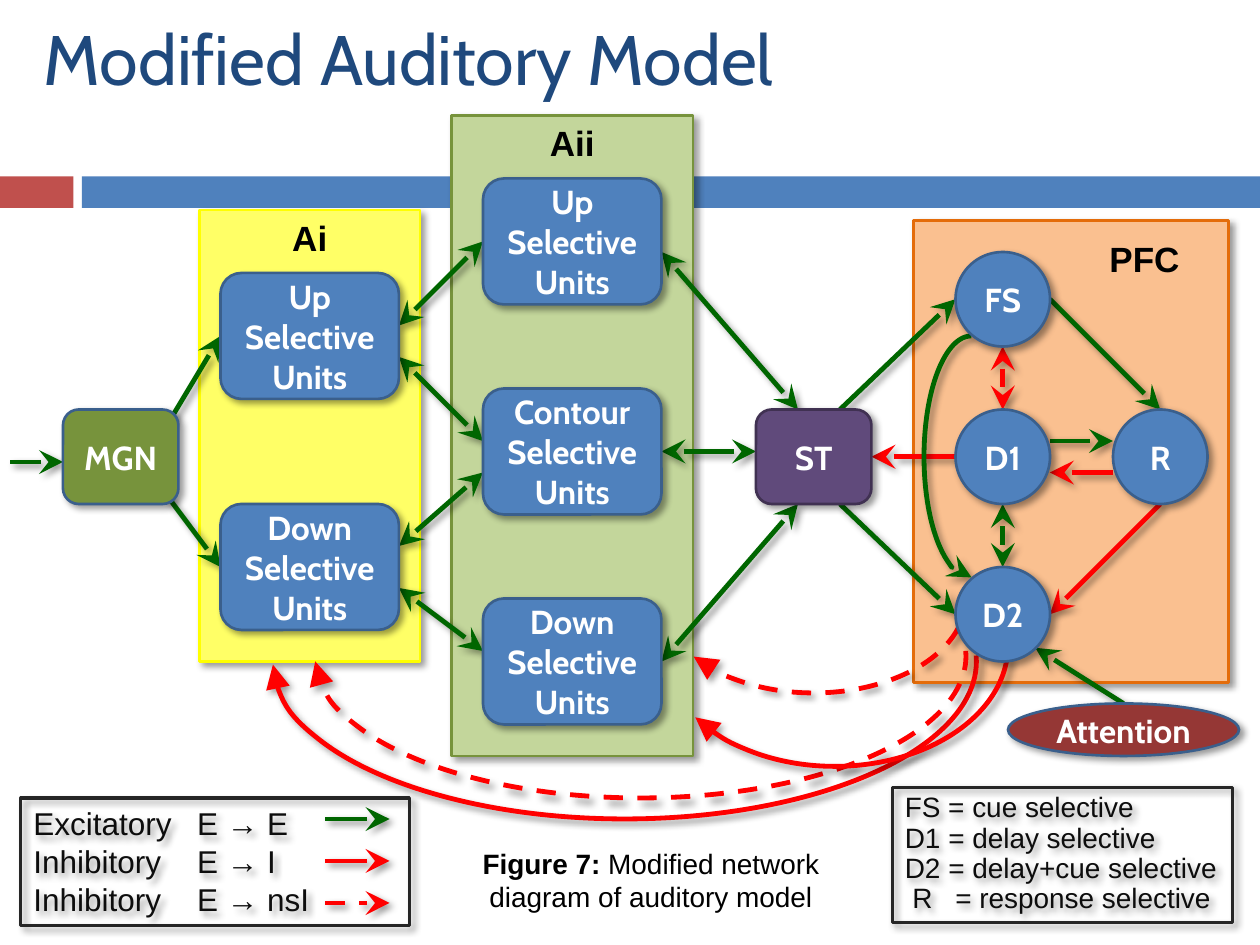
import collections
import pptx
import pptx.util
import pptx.dml.color
import pptx.enum.dml
import pptx.enum.shapes
import pptx.enum.text
import pptx.oxml
import pptx.oxml.ns

COLS, ROWS = 120, 90
CELL = pptx.util.Inches(10) / COLS
COLORS = {
    "title": "1F497D", "accent": "C0504D", "blue": "4F81BD", "edge": "3A5F8C",
    "yellow": "FFFF66", "yellow_edge": "FFFF00", "green": "C3D69B",
    "olive": "77933C", "orange": "FAC090", "orange_edge": "E46C0A",
    "purple": "604A7B", "purple_edge": "403152", "maroon": "953735",
    "excite": "006600", "inhibit": "FF0000", "black": "000000",
    "frame": "262626", "ink": "0D0D0D", "white": "FFFFFF",
}
SHAPE = pptx.enum.shapes.MSO_SHAPE
ALIGN = pptx.enum.text.PP_ALIGN
ANCHOR = pptx.enum.text.MSO_ANCHOR
Box = collections.namedtuple("Box", "x y w h")

AREAS = [
    ("PFC", Box(87, 21, 30, 44), Box(15, 1, 14, 5.25), "orange", "orange_edge"),
    ("Aii", Box(43, 11, 23, 61), Box(1, 0, 21, 5.25), "green", "olive"),
    ("Ai", Box(19, 20, 21, 43), Box(0, 0, 21, 5.25), "yellow", "yellow_edge"),
]
UNITS = {
    "Ai": [("Up", 2, 6), ("Down", 2, 28)],
    "Aii": [("Up", 3, 6), ("Contour", 3, 26), ("Down", 3, 46)],
    "PFC": [("D1", 4, 18), ("FS", 4, 3), ("R", 19, 18), ("D2", 4, 33)],
}
ONE_WAY = [
    (80, 39, 91, 28.5), (15, 46, 21, 54), (80, 48, 91, 58.5),
    (100, 28.5, 110.5, 39), (15, 42, 21, 32), (100, 42, 106, 42),
    (107, 67, 98.6, 61.7), (1, 44, 6, 44),
]
TWO_WAY = [
    (38, 52, 46, 45), (38, 34, 46, 42), (38, 56, 46, 62), (38, 31, 46, 23),
    (63, 43, 72, 43), (63, 24, 76, 39), (63, 63, 76, 48), (95.5, 48, 95.5, 54),
]
INHIBITORY = [(106, 45, 100, 45), (91, 43.5, 83, 43.5), (110.5, 48, 100, 58.5)]
ARCS = [
    (Box(26, 48, 67, 30), 215.42, 107.69, False),
    (Box(63, 48, 29, 18), 6.9, 92.49, True),
    (Box(30, 49, 62, 27), 215.44, 107.46, True),
    (Box(63, 50, 33, 23), 2.3, 91.67, False),
]


def rgb(name):
    """Return the named colour."""
    return pptx.dml.color.RGBColor.from_string(COLORS[name])


def emu(*cells):
    """Turn grid cells into lengths."""
    return [pptx.util.Emu(round(c * CELL)) for c in cells]


def within(box, inner):
    """Move an inner box to the corner of its parent."""
    return Box(box.x + inner.x, box.y + inner.y, inner.w, inner.h)


def add_shadow(sp):
    """Give a shape or connector the soft diagonal shadow."""
    ns = pptx.oxml.ns.nsdecls("a")
    sp.element.spPr.append(pptx.oxml.parse_xml(
        f'<a:effectLst {ns}><a:outerShdw blurRad="50800" dist="38100" dir="2700000" '
        f'algn="tl" rotWithShape="0"><a:srgbClr val="{COLORS["black"]}">'
        f'<a:alpha val="40000"/></a:srgbClr></a:outerShdw></a:effectLst>'))


def set_line(sp, color, width=2.75, dashed=False, head=None, tail=None):
    """Style an outline or arrow and add the shadow."""
    sp.line.color.rgb = rgb(color)
    sp.line.width = pptx.util.Pt(width)
    if dashed:
        sp.line.dash_style = pptx.enum.dml.MSO_LINE.DASH
    ln = sp.element.spPr.find(pptx.oxml.ns.qn("a:ln"))
    for tag, kind in (("headEnd", head), ("tailEnd", tail)):
        if kind:
            ns = pptx.oxml.ns.nsdecls("a")
            ln.append(pptx.oxml.parse_xml(f'<a:{tag} {ns} type="{kind}" w="lg" len="lg"/>'))
    add_shadow(sp)


def format_text(tf, size, color, font="Arial", bold=False, align=None):
    """Format every run of a text frame."""
    tf.word_wrap = True
    for p in tf.paragraphs:
        p.alignment = align
        for r in p.runs:
            r.font.size = pptx.util.Pt(size)
            r.font.name = font
            r.font.bold = bold
            r.font.color.rgb = rgb(color)


def add_text(s, box, text, size, color, **style):
    """Add a text box."""
    sp = s.shapes.add_textbox(*emu(*box))
    sp.text_frame.text = text
    format_text(sp.text_frame, size, color, **style)
    return sp


def add_filled(s, kind, box, fill, edge=None):
    """Add a filled shape, outlined and shadowed when an edge is given."""
    sp = s.shapes.add_shape(kind, *emu(*box))
    sp.fill.solid()
    sp.fill.fore_color.rgb = rgb(fill)
    if edge:
        set_line(sp, edge, 1.5)
    else:
        sp.line.fill.background()
        sp.shadow.inherit = False
    return sp


def add_node(s, kind, box, text, fill="blue", edge="edge"):
    """Add a labelled network node."""
    sp = add_filled(s, kind, box, fill, edge)
    tf = sp.text_frame
    tf.text = text
    tf.vertical_anchor = ANCHOR.MIDDLE
    format_text(tf, 19, "white", "Cabin", True, ALIGN.CENTER)


def add_arrow(s, ends, color, head=None, dashed=False):
    """Add a straight arrow."""
    c = s.shapes.add_connector(pptx.enum.shapes.MSO_CONNECTOR.STRAIGHT, *emu(*ends))
    set_line(c, color, dashed=dashed, head=head, tail="stealth")


def add_arc(s, box, start, end, color, dashed=False, tail="triangle"):
    """Add a curved arrow."""
    sp = s.shapes.add_shape(SHAPE.ARC, *emu(*box))
    sp.adjustments[0], sp.adjustments[1] = start, end
    sp.fill.background()
    set_line(sp, color, dashed=dashed, tail=tail)
    return sp


def set_tab(p, tab, left=0):
    """Set one tab stop and the left margin, in inches."""
    pPr = p._p.get_or_add_pPr()
    pPr.set("marL", str(pptx.util.Inches(left)))
    pPr.append(pptx.oxml.parse_xml(
        f'<a:tabLst {pptx.oxml.ns.nsdecls("a")}>'
        f'<a:tab pos="{pptx.util.Inches(tab)}" algn="l"/></a:tabLst>'))


def draw_header(s, box):
    """Draw the title and the band beneath it."""
    add_filled(s, SHAPE.RECTANGLE, within(box, Box(0, 16.8, 7, 3)), "accent")
    add_filled(s, SHAPE.RECTANGLE, within(box, Box(7.8, 16.8, box.w - 7.8, 3)), "blue")
    sp = add_text(s, within(box, Box(3, 0, 114, 11)), "Modified Auditory Model", 40, "title", font="Cabin")
    sp.text_frame.vertical_anchor = ANCHOR.MIDDLE


def draw_area(s, name, box, label, fill, edge):
    """Draw the panel of one brain area."""
    add_filled(s, SHAPE.RECTANGLE, box, fill, edge)
    add_text(s, within(box, label), name, 20, "black", bold=True, align=ALIGN.CENTER)


def draw_units(s, name, box):
    """Draw the units inside one brain area."""
    for text, x, y in UNITS[name]:
        if name == "PFC":
            add_node(s, SHAPE.OVAL, within(box, Box(x, y, 9, 9)), text)
        else:
            add_node(s, SHAPE.ROUNDED_RECTANGLE, within(box, Box(x, y, 17, 12)), f"{text} Selective Units")


def draw_links(s):
    """Draw all connections of the network."""
    for ends in ONE_WAY:
        add_arrow(s, ends, "excite")
    for ends in TWO_WAY:
        add_arrow(s, ends, "excite", "stealth")
    for ends in INHIBITORY:
        add_arrow(s, ends, "inhibit")
    add_arrow(s, (95.5, 33, 95.5, 39), "inhibit", "stealth")
    sp = add_arc(s, Box(88, 32, 9, 23), 162, 54.08, "excite", tail="stealth")
    sp.element.spPr.find(pptx.oxml.ns.qn("a:xfrm")).set("flipH", "1")
    for box, start, end, dashed in ARCS:
        add_arc(s, box, start, end, "inhibit", dashed)


def draw_legend(s, box):
    """Draw the legend of arrow types."""
    text = "Excitatory\tE → E\nInhibitory\tE → I\nInhibitory\tE → nsI"
    sp = add_text(s, box, text, 18, "ink")
    set_line(sp, "frame", 1.75)
    for i, p in enumerate(sp.text_frame.paragraphs):
        set_tab(p, 1.3)
        y = box.y + 2 + 4 * i
        add_arrow(s, (box.x + 29, y, box.x + 35.1, y), "inhibit" if i else "excite", dashed=i == 2)


def draw_key(s, box):
    """Draw the key of PFC unit names."""
    text = "FS = cue selective\nD1 = delay selective\nD2 = delay+cue selective\nR\t= response selective"
    sp = add_text(s, box, text, 16, "ink")
    sp.text_frame.word_wrap = False
    set_line(sp, "frame", 1.75)
    for p in sp.text_frame.paragraphs:
        p.line_spacing = 0.9
    set_tab(p, 0.34, 0.06)


def draw_caption(s, box):
    """Draw the figure caption."""
    sp = add_text(s, box, "Figure 7:", 16, "black", align=ALIGN.CENTER)
    p = sp.text_frame.paragraphs[0]
    p.add_run().text = " Modified network diagram of auditory model"
    format_text(sp.text_frame, 16, "black", align=ALIGN.CENTER)
    p.runs[0].font.bold = True


def main():
    """Build the slide."""
    prs = pptx.Presentation()
    prs.slide_width, prs.slide_height = emu(COLS, ROWS)
    s = prs.slides.add_slide(prs.slide_layouts[6])
    draw_header(s, Box(0, 0, COLS, 20))
    for area in AREAS:
        draw_area(s, *area)
    draw_links(s)
    for name, box, *_ in AREAS:
        draw_units(s, name, box)
    add_node(s, SHAPE.ROUNDED_RECTANGLE, Box(6, 39, 11, 9), "MGN", "olive")
    add_node(s, SHAPE.ROUNDED_RECTANGLE, Box(72, 39, 11, 9), "ST", "purple", "purple_edge")
    add_node(s, SHAPE.OVAL, Box(96, 67, 22, 5), "Attention", "maroon")
    draw_legend(s, Box(2, 76, 37, 12.12))
    draw_key(s, Box(85, 75, 32.4, 12.84))
    draw_caption(s, Box(41, 80, 42, 7.68))
    prs.save("out.pptx")


if __name__ == "__main__":
    main()
